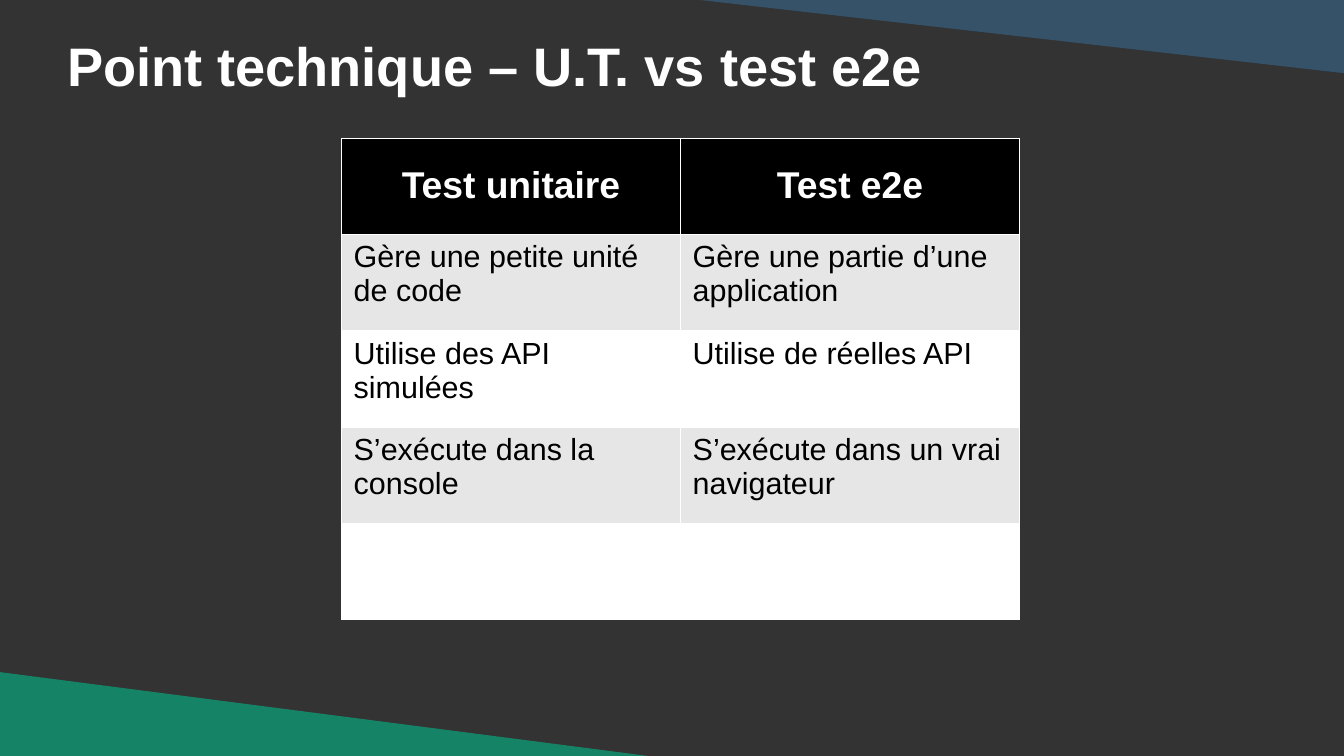
from lxml import etree
from pptx import Presentation
from pptx.dml.color import RGBColor
from pptx.enum.shapes import MSO_SHAPE
from pptx.enum.text import MSO_ANCHOR, MSO_AUTO_SIZE, PP_ALIGN
from pptx.oxml.ns import qn
from pptx.util import Inches, Pt

RIGHT_TRIANGLE = MSO_SHAPE.RIGHT_TRIANGLE
LEFT, CENTER = PP_ALIGN.LEFT, PP_ALIGN.CENTER
TOP, MIDDLE = MSO_ANCHOR.TOP, MSO_ANCHOR.MIDDLE
NO_AUTOFIT = MSO_AUTO_SIZE.NONE
TITLE_ONLY = 5

TITLE = "Point technique – U.T. vs test e2e"
ROWS = [
    ("Test unitaire", "Test e2e"),
    ("Gère une petite unité de code", "Gère une partie d’une application"),
    ("Utilise des API simulées", "Utilise de réelles API"),
    ("S’exécute dans la console", "S’exécute dans un vrai navigateur"),
    ("", ""),
]
# left, top, width, height, rotation, fill
CORNERS = [
    (5.3, -0.05, 5.72, 0.65, 180, "355269"),
    (-0.02, 5.51, 5.72, 0.74, 0, "158466"),
]
TITLE_BOX = (0.55, 0.25, 9.92, 0.56)
TABLE_LEFT, TABLE_TOP = 2.8, 1.13
COLUMN_WIDTH, ROW_HEIGHT = 2.78, 0.79
BACKGROUND, WHITE, BLACK = "333333", "FFFFFF", "000000"
BAND_FILLS = (WHITE, "E6E6E6")
BORDER_POINTS = 0.06

TITLE_FONT = {"name": "Arial", "size": Pt(32), "bold": True}
HEADER_FONT = {"name": "Arial", "size": Pt(22), "bold": True}
BODY_FONT = {"name": "Arial", "size": Pt(18), "bold": False}


def color(value):
    return RGBColor.from_string(value)


def fill_solid(fill, value):
    fill.solid()
    fill.fore_color.rgb = color(value)


def format_font(font, values, font_color):
    for name, value in values.items():
        setattr(font, name, value)
    font.color.rgb = color(font_color)


def add_borders(cell):
    properties = cell._tc.get_or_add_tcPr()
    for index, side in enumerate(("a:lnL", "a:lnR", "a:lnT", "a:lnB")):
        line = etree.Element(qn(side), w=str(Pt(BORDER_POINTS)))
        solid = etree.SubElement(line, qn("a:solidFill"))
        etree.SubElement(solid, qn("a:srgbClr"), val=WHITE)
        properties.insert(index, line)


def add_corner(slide, left, top, width, height, rotation, fill):
    corner = slide.shapes.add_shape(
        RIGHT_TRIANGLE, *map(Inches, (left, top, width, height)))
    corner.rotation = rotation
    corner.shadow.inherit = False
    fill_solid(corner.fill, fill)
    corner.line.fill.background()


def format_title(title):
    title.left, title.top, title.width, title.height = map(Inches, TITLE_BOX)
    frame = title.text_frame
    frame.text = TITLE
    frame.margin_left = frame.margin_right = 0
    frame.margin_top = frame.margin_bottom = 0
    frame.auto_size = NO_AUTOFIT
    frame.vertical_anchor = MIDDLE
    paragraph = frame.paragraphs[0]
    paragraph.alignment = LEFT
    format_font(paragraph.runs[0].font, TITLE_FONT, WHITE)


def add_comparison(slide):
    column_count = len(ROWS[0])
    table = slide.shapes.add_table(
        len(ROWS), column_count, Inches(TABLE_LEFT), Inches(TABLE_TOP),
        Inches(COLUMN_WIDTH * column_count),
        Inches(ROW_HEIGHT * len(ROWS))).table
    for row_index, texts in enumerate(ROWS):
        is_header = row_index == 0
        for column_index, text in enumerate(texts):
            cell = table.cell(row_index, column_index)
            cell.text = text
            cell.vertical_anchor = MIDDLE if is_header else TOP
            fill_solid(cell.fill,
                       BLACK if is_header else BAND_FILLS[row_index % 2])
            add_borders(cell)
            paragraph = cell.text_frame.paragraphs[0]
            paragraph.alignment = CENTER if is_header else LEFT
            format_font(paragraph.font,
                        HEADER_FONT if is_header else BODY_FONT,
                        WHITE if is_header else BLACK)
            for run in paragraph.runs:
                format_font(run.font,
                            HEADER_FONT if is_header else BODY_FONT,
                            WHITE if is_header else BLACK)


def main():
    presentation = Presentation()
    presentation.slide_width = Inches(11.02)
    presentation.slide_height = Inches(6.2)
    slide = presentation.slides.add_slide(
        presentation.slide_layouts[TITLE_ONLY])
    fill_solid(slide.background.fill, BACKGROUND)
    for corner in CORNERS:
        add_corner(slide, *corner)
    format_title(slide.shapes.title)
    add_comparison(slide)
    presentation.save("out.pptx")


if __name__ == "__main__":
    main()
